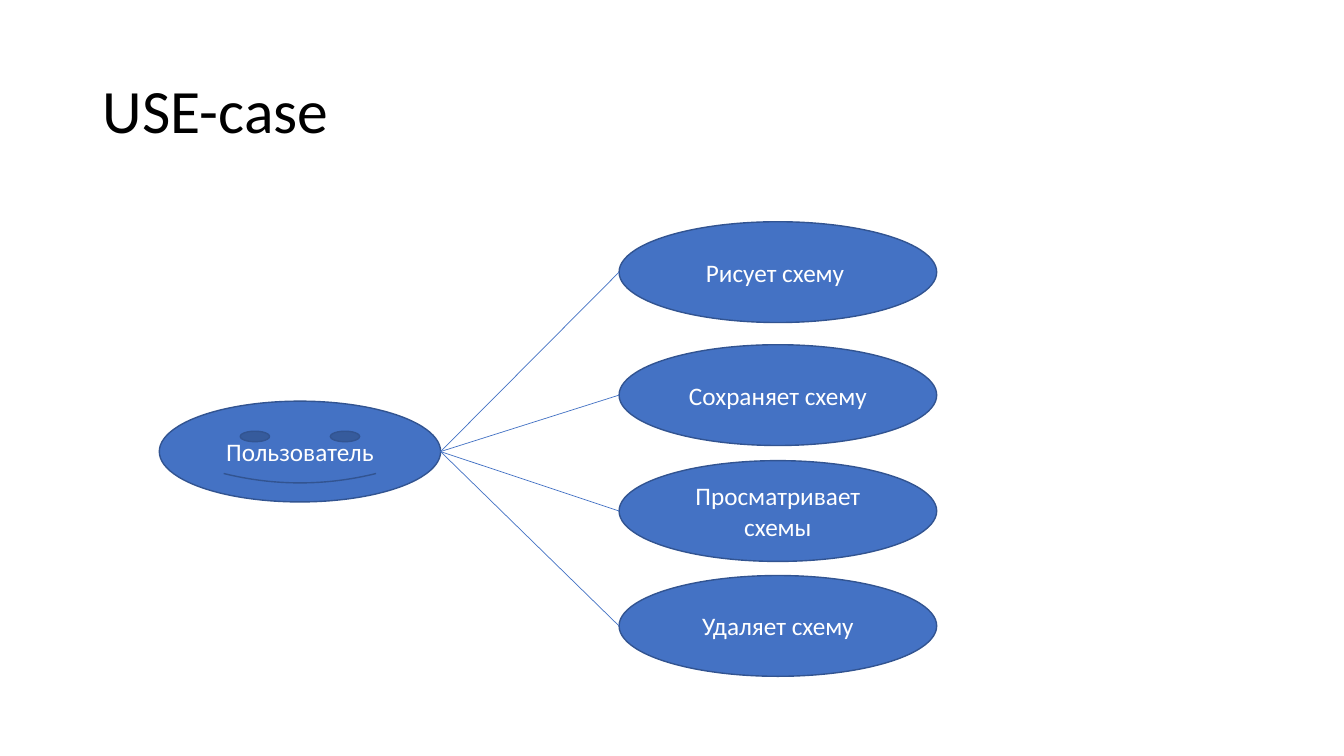
import pptx
import pptx.dml.color
import pptx.enum.shapes
import pptx.enum.text
import pptx.oxml.ns
import pptx.util
from lxml import etree

Inches = pptx.util.Inches
Pt = pptx.util.Pt
Shapes = pptx.enum.shapes.MSO_SHAPE
Align = pptx.enum.text.PP_ALIGN
Anchor = pptx.enum.text.MSO_ANCHOR

FONT = "Calibri"
BLUE = "4472C4"
OUTLINE = "325491"
ACTOR_BOX = (1.58, 3.98, 2.79, 1)
CASE_LEFT, CASE_WIDTH, CASE_HEIGHT = 6.14, 3.15, 1
USE_CASES = [
    ("Рисует схему ", 2.2),
    ("Сохраняет схему", 3.42),
    ("Просматривает схемы", 4.57),
    ("Удаляет схему", 5.71),
]


def paint(color_format, value):
    """Set a colour format from a hex string."""
    color_format.rgb = pptx.dml.color.RGBColor.from_string(value)


def style_text(para, size, color, align):
    """Apply font, size, colour and alignment to a paragraph."""
    para.alignment = align
    para.font.name = FONT
    para.font.size = Pt(size)
    paint(para.font.color, color)


def add_title(page, box, text):
    """Place and format the title placeholder."""
    title = page.shapes.title
    title.left, title.top, title.width, title.height = map(Inches, box)
    frame = title.text_frame
    frame.text = text
    frame.word_wrap = True
    frame.vertical_anchor = Anchor.MIDDLE
    para = frame.paragraphs[0]
    para.line_spacing = 0.9
    style_text(para, 44, "000000", Align.LEFT)


def add_node(page, kind, box, text):
    """Draw a filled, labelled shape in the given box."""
    node = page.shapes.add_shape(kind, *map(Inches, box))
    node.shadow.inherit = False
    node.fill.solid()
    paint(node.fill.fore_color, BLUE)
    paint(node.line.color, OUTLINE)
    node.line.width = Pt(1)
    frame = node.text_frame
    frame.text = text
    frame.word_wrap = True
    frame.vertical_anchor = Anchor.MIDDLE
    style_text(frame.paragraphs[0], 18, "FFFFFF", Align.CENTER)
    return node


def add_link(page, actor, case):
    """Join the right edge of the actor to the left edge of a use case."""
    link = page.shapes.add_connector(
        pptx.enum.shapes.MSO_CONNECTOR.STRAIGHT,
        actor.left + actor.width, actor.top + actor.height // 2,
        case.left, case.top + case.height // 2,
    )
    paint(link.line.color, BLUE)
    link.line.width = Pt(0.5)
    properties = link._element.spPr
    etree.SubElement(properties, pptx.oxml.ns.qn("a:effectLst"))


def add_diagram(page):
    """Draw the actor, its use cases and the links between them."""
    actor = add_node(page, Shapes.SMILEY_FACE, ACTOR_BOX, "Пользователь")
    cases = [
        add_node(page, Shapes.OVAL, (CASE_LEFT, top, CASE_WIDTH, CASE_HEIGHT), text)
        for text, top in USE_CASES
    ]
    for case in cases:
        add_link(page, actor, case)


def main():
    """Build and save the deck."""
    deck = pptx.Presentation()
    deck.slide_width, deck.slide_height = Inches(13.33), Inches(7.5)
    page = deck.slides.add_slide(deck.slide_layouts[5])
    add_title(page, (0.92, 0.4, 11.5, 1.45), "USE-case")
    add_diagram(page)
    deck.save("out.pptx")


if __name__ == "__main__":
    main()
